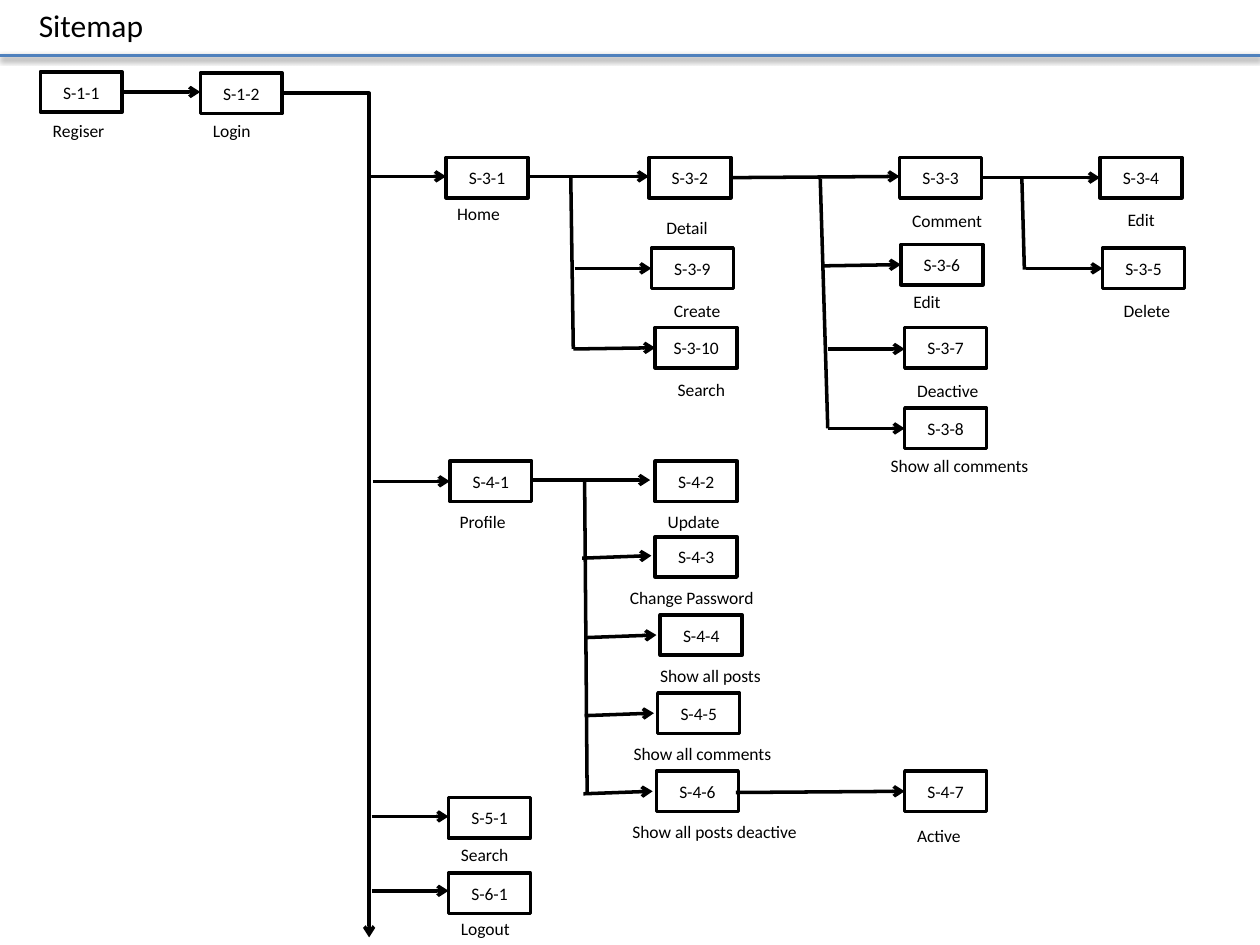
from dataclasses import dataclass

from lxml.etree import SubElement
from pptx import Presentation
from pptx.dml.color import RGBColor
from pptx.enum.shapes import MSO_CONNECTOR, MSO_SHAPE
from pptx.enum.text import MSO_ANCHOR, MSO_AUTO_SIZE, PP_ALIGN
from pptx.oxml.ns import qn
from pptx.util import Inches, Pt


@dataclass(frozen=True)
class Theme:
    font: str = "Calibri"
    title_size: int = 18
    body_size: int = 10
    line_width: int = 2
    ink: RGBColor = RGBColor(0, 0, 0)
    paper: RGBColor = RGBColor(255, 255, 255)
    accent: RGBColor = RGBColor(0x4F, 0x81, 0xBD)


@dataclass(frozen=True)
class Screen:
    code: str
    left: float
    top: float
    label: str
    label_left: float
    label_top: float
    label_width: float
    wrap: bool = False


@dataclass(frozen=True)
class Link:
    x1: float
    y1: float
    x2: float
    y2: float
    arrow: bool = True
    bent: bool = False


THEME = Theme()
BOX_W, BOX_H, LABEL_H = 0.65, 0.32, 0.27

SCREENS = [
    # Entry
    Screen("S-1-1", 0.32, 0.57, "Regiser", 0.32, 0.9, 0.62),
    Screen("S-1-2", 1.59, 0.58, "Login", 1.59, 0.9, 0.51),
    # Home branch
    Screen("S-3-1", 3.54, 1.25, "Home", 3.53, 1.56, 0.55),
    Screen("S-3-2", 5.15, 1.25, "Detail", 5.19, 1.67, 0.54),
    Screen("S-3-9", 5.17, 1.97, "Create", 5.25, 2.33, 0.58),
    Screen("S-3-10", 5.2, 2.6, "Search", 5.28, 2.96, 0.59),
    Screen("S-3-3", 7.14, 1.25, "Comment", 7.14, 1.62, 0.78, True),
    Screen("S-3-6", 7.15, 1.94, "Edit", 7.15, 2.26, 0.75, True),
    Screen("S-3-7", 7.18, 2.6, "Deactive", 7.18, 2.97, 0.75, True),
    Screen("S-3-8", 7.18, 3.24, "Show all comments", 6.97, 3.56, 1.31),
    Screen("S-3-4", 8.73, 1.25, "Edit", 8.85, 1.61, 0.42),
    Screen("S-3-5", 8.75, 1.97, "Delete", 8.82, 2.33, 0.58),
    # Profile branch
    Screen("S-4-1", 3.57, 3.66, "Profile", 3.55, 4.01, 0.75, True),
    Screen("S-4-2", 5.2, 3.66, "Update", 5.2, 4.01, 0.75, True),
    Screen("S-4-3", 5.2, 4.26, "Change Password", 4.9, 4.61, 1.33, True),
    Screen("S-4-4", 5.24, 4.88, "Show all posts", 5.14, 5.23, 1.02, True),
    Screen("S-4-5", 5.22, 5.5, "Show all comments", 4.93, 5.85, 1.33, True),
    Screen("S-4-6", 5.21, 6.12, "Show all posts deactive", 4.92, 6.47, 1.68, True),
    Screen("S-4-7", 7.18, 6.12, "Active", 7.18, 6.5, 0.75, True),
    # Search and logout
    Screen("S-5-1", 3.56, 6.33, "Search", 3.56, 6.65, 0.59),
    Screen("S-6-1", 3.56, 6.93, "Logout", 3.56, 7.24, 0.6),
]

LINKS = [
    # Entry and main trunk
    Link(0.98, 0.73, 1.59, 0.73),
    Link(2.25, 0.74, 2.93, 7.44, bent=True),
    Link(2.93, 1.4, 3.54, 1.4),
    Link(2.96, 3.82, 3.57, 3.82),
    Link(2.95, 6.48, 3.56, 6.48),
    Link(2.95, 7.07, 3.56, 7.07),
    # Home to posts
    Link(4.2, 1.4, 5.15, 1.4),
    Link(4.53, 1.41, 4.55, 2.77, arrow=False),
    Link(4.56, 2.13, 5.17, 2.13),
    Link(4.55, 2.77, 5.2, 2.76),
    # Detail to comments
    Link(5.8, 1.41, 7.14, 1.4),
    Link(6.51, 1.42, 6.57, 3.4, arrow=False),
    Link(6.54, 2.11, 7.15, 2.1),
    Link(6.57, 2.77, 7.18, 2.77),
    Link(6.57, 3.4, 7.18, 3.4),
    # Comment to edit and delete
    Link(7.8, 1.41, 8.73, 1.41),
    Link(8.11, 1.41, 8.13, 2.14, arrow=False),
    Link(8.14, 2.13, 8.75, 2.13),
    # Profile to its screens
    Link(4.21, 3.81, 5.16, 3.81),
    Link(4.64, 3.82, 4.66, 6.3, arrow=False),
    Link(4.62, 4.43, 5.17, 4.41),
    Link(4.66, 5.06, 5.21, 5.04),
    Link(4.64, 5.68, 5.19, 5.66),
    Link(4.63, 6.3, 5.18, 6.28),
    Link(5.84, 6.29, 7.18, 6.28),
]


def set_text(tf, text: str, size: int) -> None:
    tf.text = text
    font = tf.paragraphs[0].runs[0].font
    font.name, font.size = THEME.font, Pt(size)
    font.color.rgb = THEME.ink


def add_label(s, text: str, left: float, top: float, width: float,
              height: float = LABEL_H, size: int = THEME.body_size,
              wrap: bool = False) -> None:
    sp = s.shapes.add_textbox(Inches(left), Inches(top), Inches(width), Inches(height))
    tf = sp.text_frame
    set_text(tf, text, size)
    tf.word_wrap = wrap
    tf.auto_size = MSO_AUTO_SIZE.SHAPE_TO_FIT_TEXT


def add_screen(s, screen: Screen) -> None:
    sp = s.shapes.add_shape(MSO_SHAPE.RECTANGLE, Inches(screen.left), Inches(screen.top),
                            Inches(BOX_W), Inches(BOX_H))
    sp.shadow.inherit = False
    sp.fill.solid()
    sp.fill.fore_color.rgb = THEME.paper
    sp.line.color.rgb = THEME.ink
    sp.line.width = Pt(THEME.line_width)
    tf = sp.text_frame
    set_text(tf, screen.code, THEME.body_size)
    tf.vertical_anchor = MSO_ANCHOR.MIDDLE
    tf.paragraphs[0].alignment = PP_ALIGN.CENTER
    add_label(s, screen.label, screen.label_left, screen.label_top,
              screen.label_width, wrap=screen.wrap)


def add_link(s, link: Link, color: RGBColor = THEME.ink):
    """Draw a link and return its effect list."""
    kind = MSO_CONNECTOR.ELBOW if link.bent else MSO_CONNECTOR.STRAIGHT
    line = s.shapes.add_connector(kind, Inches(link.x1), Inches(link.y1),
                                  Inches(link.x2), Inches(link.y2))
    line.line.color.rgb = color
    line.line.width = Pt(THEME.line_width)
    sp_pr = line._element.spPr
    if link.bent:
        sp_pr.find(qn("a:prstGeom")).set("prst", "bentConnector2")
    if link.arrow:
        SubElement(sp_pr.find(qn("a:ln")), qn("a:tailEnd"), type="arrow")
    return SubElement(sp_pr, qn("a:effectLst"))


def add_header(s) -> None:
    effects = add_link(s, Link(0, 0.44, 10, 0.44, arrow=False), THEME.accent)
    shadow = SubElement(effects, qn("a:outerShdw"), blurRad="40000", dist="20000",
                        dir="5400000", rotWithShape="0")
    color = SubElement(shadow, qn("a:srgbClr"), val=str(THEME.ink))
    SubElement(color, qn("a:alpha"), val="38000")
    add_label(s, "Sitemap", 0.21, 0, 1.04, 0.4, THEME.title_size)


def main() -> None:
    prs = Presentation()
    prs.slide_width, prs.slide_height = Inches(10), Inches(7.5)
    s = prs.slides.add_slide(prs.slide_layouts[6])
    add_header(s)
    for screen in SCREENS:
        add_screen(s, screen)
    for link in LINKS:
        add_link(s, link)
    prs.save("out.pptx")


main()
